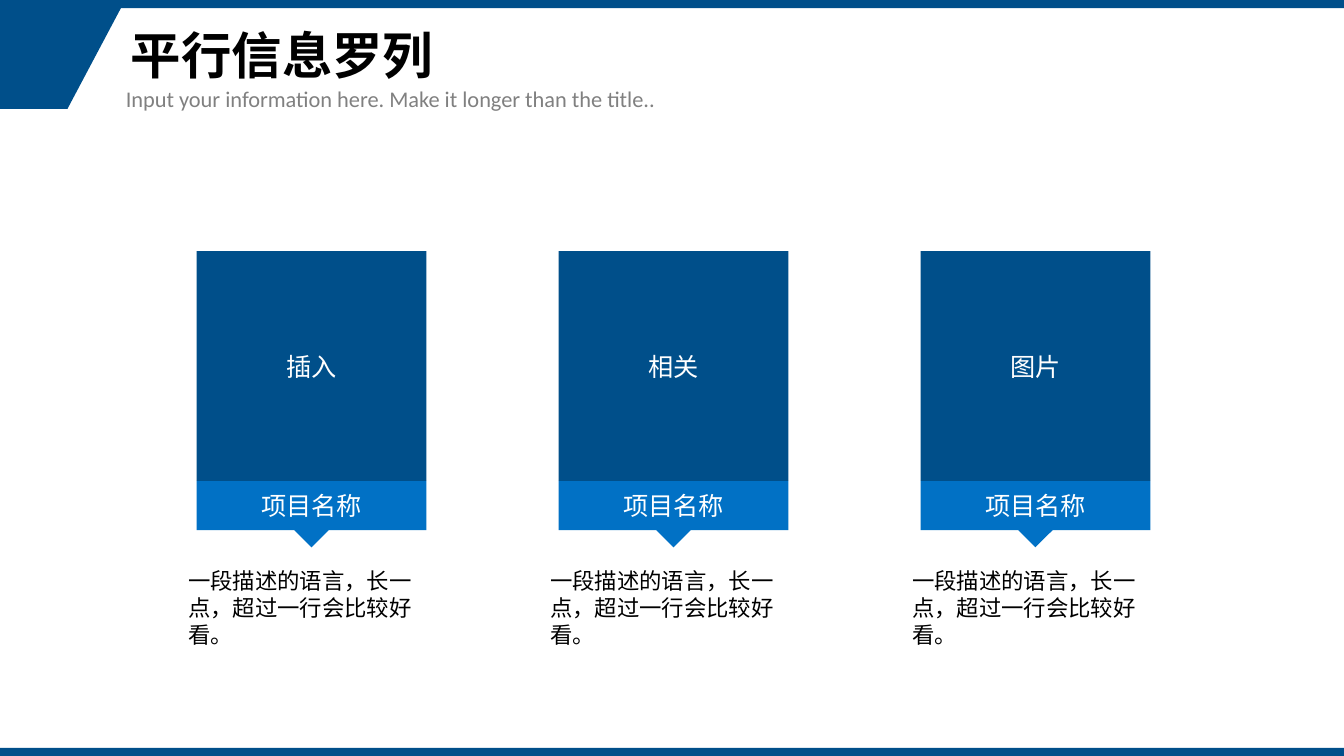
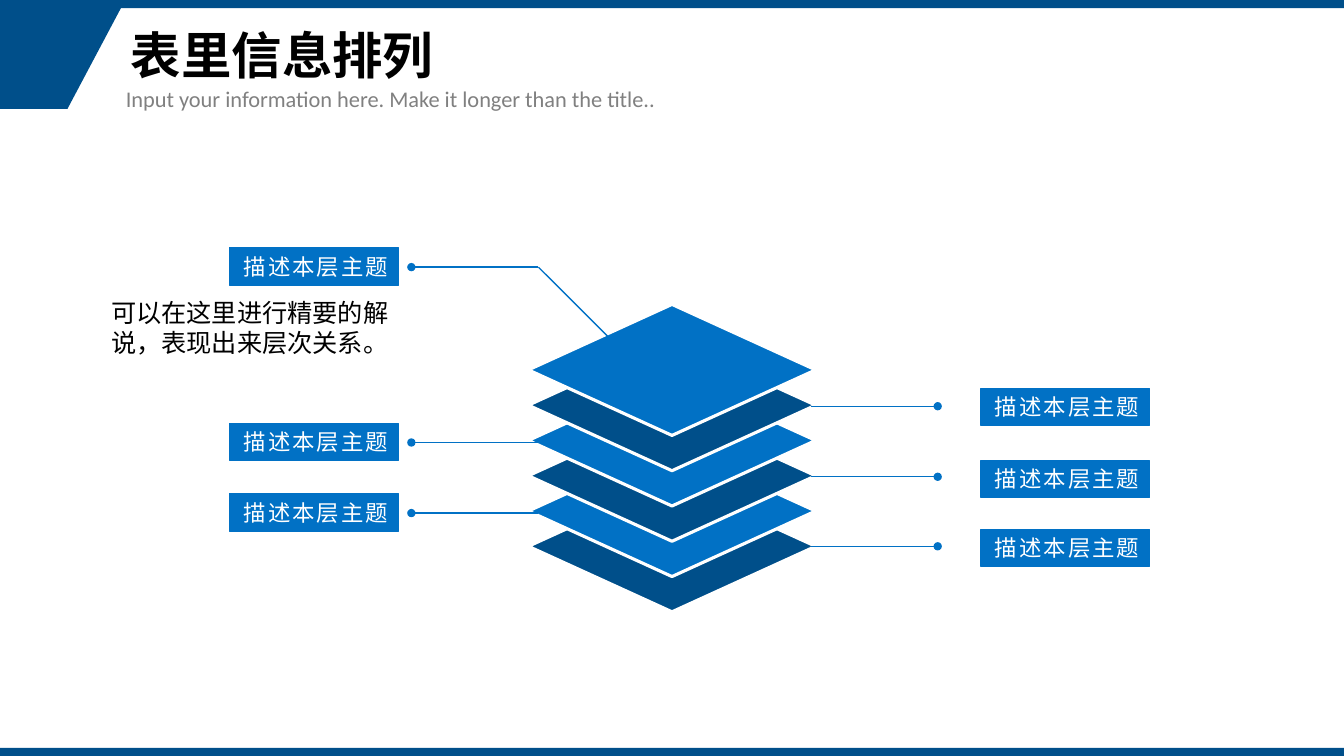
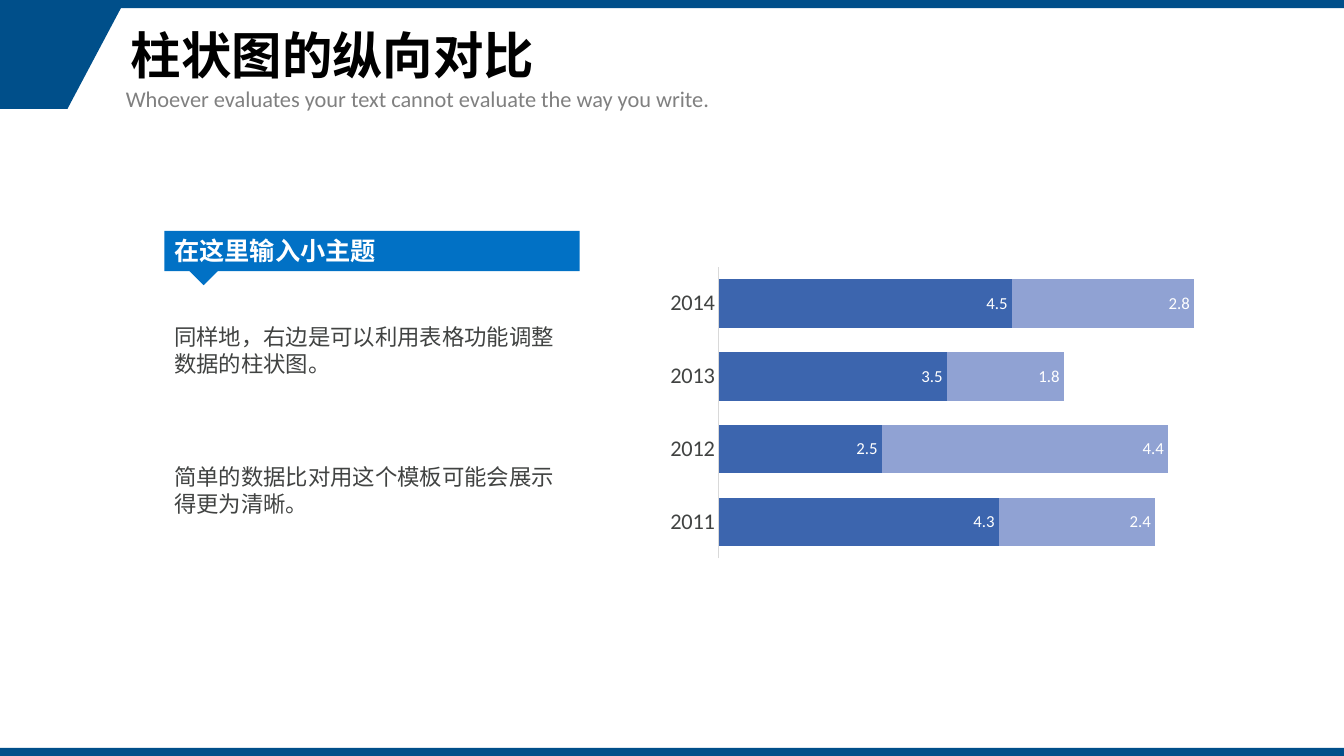
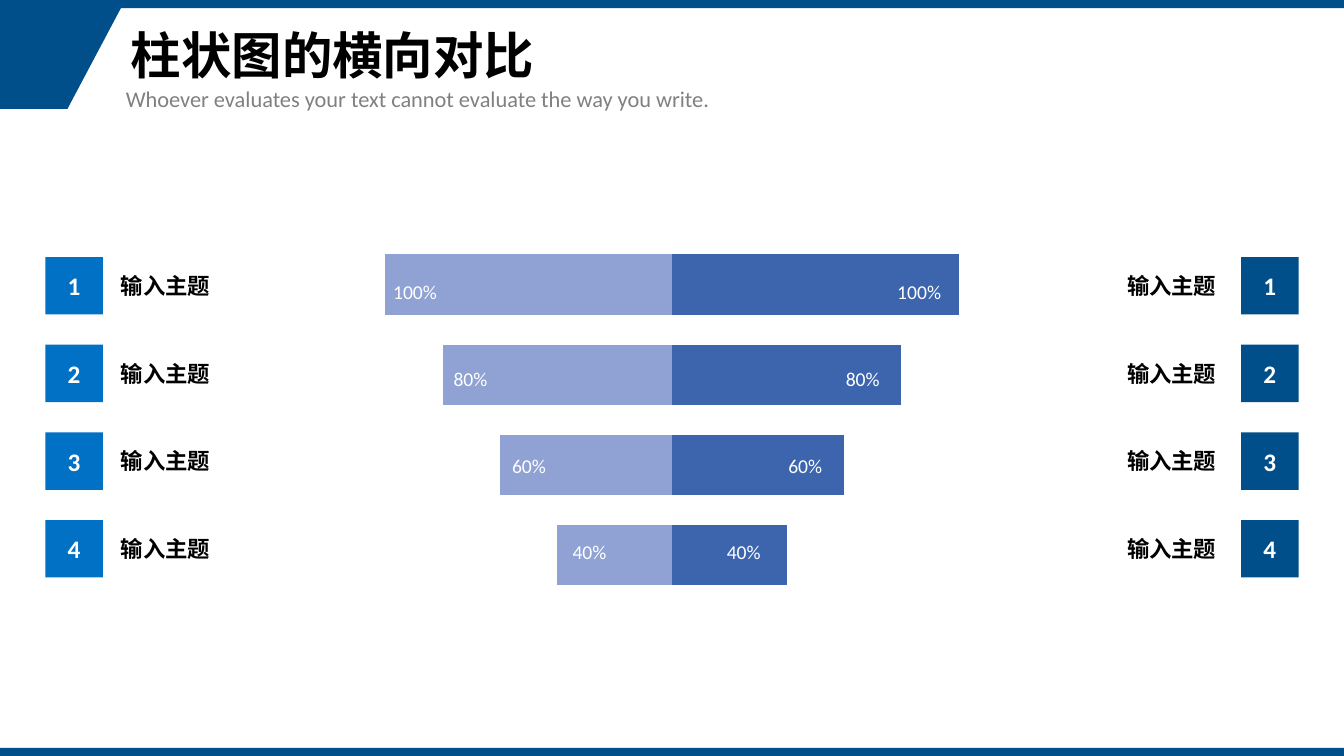
from lxml import etree
from pptx import Presentation
from pptx.chart.data import CategoryChartData
from pptx.dml.color import RGBColor
from pptx.enum.chart import XL_CHART_TYPE, XL_LABEL_POSITION, XL_TICK_MARK
from pptx.enum.shapes import MSO_CONNECTOR, MSO_SHAPE
from pptx.enum.text import MSO_ANCHOR, MSO_AUTO_SIZE, PP_ALIGN
from pptx.oxml.ns import qn
from pptx.util import Pt

PX = 9144  # EMU per px, 100 px to the inch
WIDTH, HEIGHT, BAND = 1333, 750, 8

NAVY = RGBColor(0x00, 0x4F, 0x8A)
BLUE = RGBColor(0x01, 0x71, 0xC5)
STEEL = RGBColor(0x3C, 0x65, 0xAE)
LILAC = RGBColor(0x90, 0xA2, 0xD3)
BLACK = RGBColor(0x00, 0x00, 0x00)
CHARCOAL = RGBColor(0x41, 0x43, 0x42)
GRAY = RGBColor(0x80, 0x80, 0x80)
SILVER = RGBColor(0xD9, 0xD9, 0xD9)
WHITE = RGBColor(0xFF, 0xFF, 0xFF)

LATIN, HAN = "Calibri", "Noto Sans CJK SC"
LEFT, CENTER, RIGHT = PP_ALIGN.LEFT, PP_ALIGN.CENTER, PP_ALIGN.RIGHT
TOP, MIDDLE = MSO_ANCHOR.TOP, MSO_ANCHOR.MIDDLE
FIT, FIXED = MSO_AUTO_SIZE.SHAPE_TO_FIT_TEXT, MSO_AUTO_SIZE.NONE
RECT, DIAMOND = MSO_SHAPE.RECTANGLE, MSO_SHAPE.FLOWCHART_DECISION
CORNER = MSO_SHAPE.RIGHT_TRIANGLE
STRAIGHT = MSO_CONNECTOR.STRAIGHT
STACKED, CLUSTERED = XL_CHART_TYPE.BAR_STACKED, XL_CHART_TYPE.BAR_CLUSTERED
INSIDE_END, NO_TICK = XL_LABEL_POSITION.INSIDE_END, XL_TICK_MARK.NONE


class Deck:
    def __init__(self):
        self.presentation = Presentation()
        self.presentation.slide_width = WIDTH * PX
        self.presentation.slide_height = HEIGHT * PX
        self.shapes = None

    def new_slide(self, title, subtitle):
        layout = self.presentation.slide_layouts[6]
        self.shapes = self.presentation.slides.add_slide(layout).shapes
        builder = self.shapes.build_freeform(0, BAND, scale=PX)
        builder.add_line_segments([(120, BAND), (67, 108), (0, 108)])
        self.paint(builder.convert_to_shape(), NAVY)
        for top in (0, HEIGHT - BAND):
            self.shape(RECT, 0, top, WIDTH, BAND, NAVY)
        self.text(title, 120, 8, 1122, 100, size=36, bold=True,
                  anchor=MIDDLE, fit=FIXED, line_spacing=0.9)
        self.text(subtitle, 115, 80, 780, 37, font=LATIN, color=GRAY)

    def paint(self, shape, fill, line=None, line_width=0.75):
        shape.shadow.inherit = False
        shape.fill.solid()
        shape.fill.fore_color.rgb = fill
        if line is None:
            shape.line.fill.background()
        else:
            shape.line.color.rgb = line
            shape.line.width = Pt(line_width)

    def shape(self, kind, left, top, width, height, fill, **line):
        shape = self.shapes.add_shape(kind, left * PX, top * PX, width * PX, height * PX)
        self.paint(shape, fill, **line)
        return shape

    def fill_text(self, box, text, size=16, font=HAN, color=BLACK, bold=False, align=LEFT,
                  anchor=TOP, fit=FIT, wrap=True, spacing=None, line_spacing=None):
        frame = box.text_frame
        frame.word_wrap = wrap
        frame.auto_size = fit
        frame.vertical_anchor = anchor
        para = frame.paragraphs[0]
        para.alignment = align
        if line_spacing:
            para.line_spacing = line_spacing
        span = para.add_run()
        span.text = text
        span.font.name = font
        span.font.size = Pt(size)
        span.font.bold = bold
        span.font.color.rgb = color
        properties = span._r.get_or_add_rPr()
        etree.SubElement(properties, qn("a:ea"), typeface=HAN)
        if spacing:
            properties.set("spc", str(round(spacing * 100)))

    def text(self, text, left, top, width, height, **style):
        box = self.shapes.add_textbox(left * PX, top * PX, width * PX, height * PX)
        self.fill_text(box, text, **style)

    def panel(self, text, left, top, width, height, fill, **style):
        """A filled rectangle with white text in its middle."""
        box = self.shape(RECT, left, top, width, height, fill)
        self.fill_text(box, text, size=18, color=WHITE, align=CENTER,
                       anchor=MIDDLE, fit=FIXED, **style)

    def tag(self, text, left, top):
        box = self.shape(RECT, left, top, 167, 37, BLUE, line=BLUE)
        self.fill_text(box, text, color=WHITE, align=RIGHT, wrap=False, spacing=1.5)

    def pointer(self, left, top):
        """A small triangle that points down."""
        self.shape(CORNER, left, top, 24, 24, BLUE).rotation = 315

    def line(self, x1, y1, x2, y2, dot=True):
        connector = self.shapes.add_connector(STRAIGHT, x1 * PX, y1 * PX, x2 * PX, y2 * PX)
        connector.line.color.rgb = BLUE
        connector.line.width = Pt(1)
        properties = connector._element.spPr
        if dot:
            etree.SubElement(properties.find(qn("a:ln")), qn("a:tailEnd"), type="oval")
        etree.SubElement(properties, qn("a:effectLst"))

    def bar_chart(self, kind, left, top, width, height, categories, series, low, high):
        data = CategoryChartData()
        data.categories = categories
        for number, values in enumerate(series, 1):
            data.add_series(f"Series {number}", values)
        chart = self.shapes.add_chart(
            kind, left * PX, top * PX, width * PX, height * PX, data).chart
        chart.has_legend = chart.has_title = False
        chart.font.name, chart.font.size = LATIN, Pt(10)
        chart.font.color.rgb = BLACK
        plot = chart.plots[0]
        plot.gap_width, plot.overlap = 50, 100
        plot.vary_by_categories = False
        for bars, color in zip(plot.series, (STEEL, LILAC)):
            bars.invert_if_negative = False
            bars.format.fill.solid()
            bars.format.fill.fore_color.rgb = color
        scale = chart.value_axis
        scale.has_major_gridlines = scale.visible = False
        scale.minimum_scale, scale.maximum_scale = low, high
        return chart


def parallel_slide(deck):
    deck.new_slide("平行信息罗列", "Input your information here. Make it longer than the title..")
    for column, caption in enumerate(("插入", "相关", "图片")):
        left = 195 + 359 * column
        deck.panel("项目名称", left, 477, 228, 49, BLUE)
        deck.pointer(left + 102, 514)
        deck.text("一段描述的语言，长一点，超过一行会比较好看。", left - 18, 558, 263, 91)
        deck.panel(caption, left, 249, 228, 228, NAVY)


def layers_slide(deck):
    deck.new_slide("表里信息排列", "Input your information here. Make it longer than the title..")
    for layer in range(6):
        deck.shape(DIAMOND, 524, 477 - 35 * layer, 285, 130, (NAVY, BLUE)[layer % 2],
                   line=WHITE, line_width=2.25)
    deck.line(534, 265, 634, 365, dot=False)
    sides = (
        (534, 408, 228, ((265, 246), (439, 420), (509, 490))),
        (804, 930, 973, ((403, 385), (473, 457), (542, 525))),
    )
    for start, end, tag_left, rows in sides:
        for line_y, tag_top in rows:
            deck.line(start, line_y, end, line_y)
            deck.tag("描述本层主题", tag_left, tag_top)
    deck.text("可以在这里进行精要的解说，表现出来层次关系。", 78, 290, 317, 71,
              size=18, align=RIGHT)


def stacked_slide(deck):
    deck.new_slide("柱状图的纵向对比",
                   "Whoever evaluates your text cannot evaluate the way you write.")
    chart = deck.bar_chart(STACKED, 653, 259, 588, 301, ("2011", "2012", "2013", "2014"),
                           ((4.3, 2.5, 3.5, 4.5), (2.4, 4.4, 1.8, 2.8)), 0, 8)
    years = chart.category_axis
    years.major_tick_mark = years.minor_tick_mark = NO_TICK
    years.format.line.color.rgb = SILVER
    years.format.line.width = Pt(0.75)
    years.tick_labels.font.name, years.tick_labels.font.size = LATIN, Pt(16)
    years.tick_labels.font.color.rgb = CHARCOAL
    for bars in chart.plots[0].series:
        labels = bars.data_labels
        labels.show_value = True
        labels.position = INSIDE_END
        labels.font.name, labels.font.size = LATIN, Pt(12)
        labels.font.color.rgb = WHITE
    deck.text("同样地，右边是可以利用表格功能调整数据的柱状图。", 163, 316, 412, 64, color=CHARCOAL)
    deck.text("简单的数据比对用这个模板可能会展示得更为清晰。", 163, 455, 412, 64, color=CHARCOAL)
    heading = deck.shape(RECT, 163, 229, 412, 40, BLUE)
    deck.fill_text(heading, "在这里输入小主题", size=18, color=WHITE, bold=True)
    deck.pointer(190, 254)


def mirrored_slide(deck):
    deck.new_slide("柱状图的横向对比",
                   "Whoever evaluates your text cannot evaluate the way you write.")
    values = (40, 60, 80, 100)
    chart = deck.bar_chart(CLUSTERED, 222, 230, 889, 373, ("1", "2", "3", "4"),
                           (values, [-value for value in values]), -150, 150)
    chart.category_axis.visible = False
    chart.value_axis.tick_labels.number_format = "0%"
    chart.value_axis.tick_labels.number_format_is_linked = False
    for row in range(4):
        top = 255 + 87 * row
        for number_left, topic_left, fill in ((45, 110, BLUE), (1231, 1108, NAVY)):
            deck.panel(str(row + 1), number_left, top, 57, 57, fill, font=LATIN, bold=True)
            deck.text("输入主题", topic_left, top + 10, 110, 37,
                      font=LATIN, bold=True, wrap=False)
    shares = (("100%", 72, 380, 880), ("80%", 62, 440, 829),
              ("60%", 62, 498, 772), ("40%", 62, 558, 711))
    for row, (share, width, *lefts) in enumerate(shares):
        for left in lefts:
            deck.text(share, left, 273 + 86 * row, width, 34,
                      size=14, font=LATIN, color=WHITE, wrap=False)


def main():
    deck = Deck()
    for build in (parallel_slide, layers_slide, stacked_slide, mirrored_slide):
        build(deck)
    deck.presentation.save("out.pptx")


if __name__ == "__main__":
    main()
